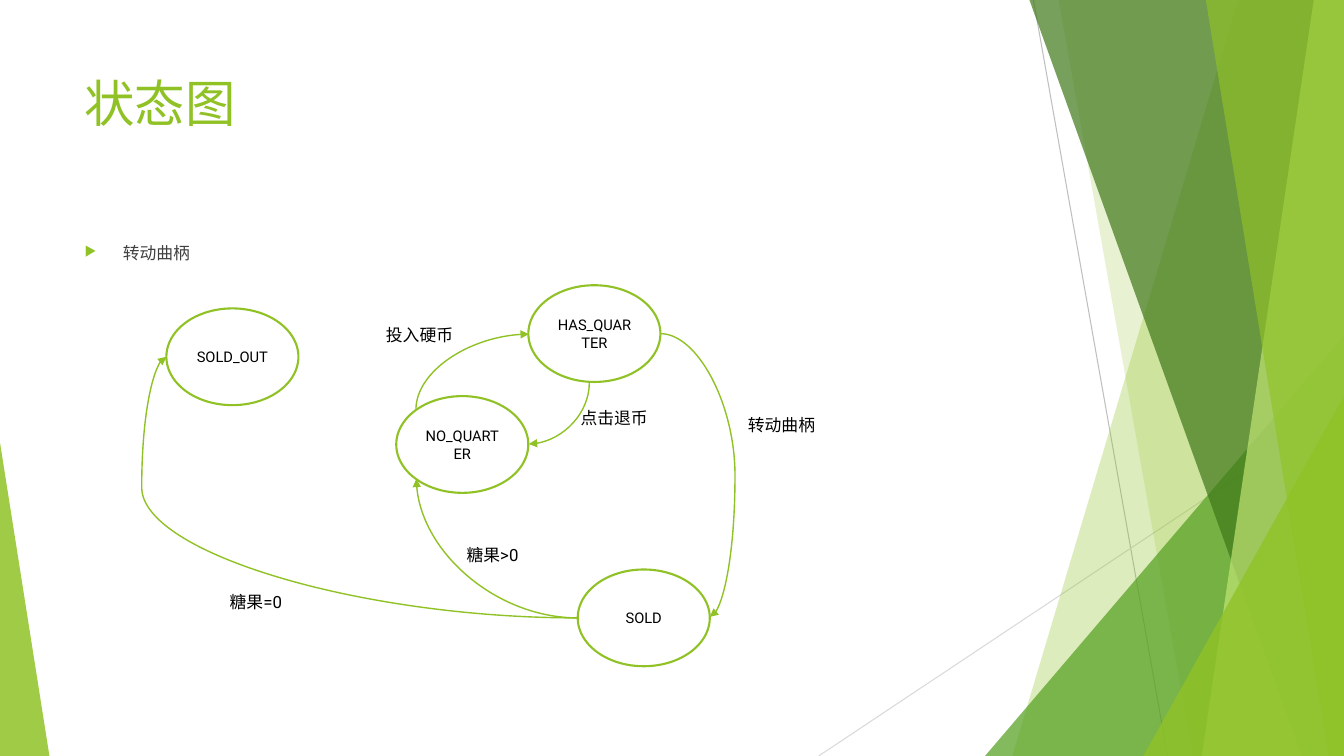
from lxml.etree import SubElement
from pptx import Presentation
from pptx.dml.color import RGBColor
from pptx.enum.shapes import MSO_CONNECTOR, MSO_SHAPE
from pptx.enum.text import MSO_ANCHOR, PP_ALIGN
from pptx.oxml.ns import qn
from pptx.util import Inches, Pt

COLORS = {
    "green": "90C226", "leaf": "54A021", "forest": "3F7819", "lime": "C0E474",
    "white": "FFFFFF", "black": "000000", "body": "404040",
    "gray": "BFBFBF", "light gray": "D9D9D9",
}
WIDTH, HEIGHT = 13.33, 7.5
STATE_WIDTH, STATE_HEIGHT = 1.31, 0.96


def set_format(target, values):
    for name, value in values.items():
        setattr(target, name, value)


class SlideBuilder:
    font_name = "Roboto"

    def __init__(self, slide):
        self.slide = slide
        self.shapes = slide.shapes

    def color(self, name):
        return RGBColor.from_string(COLORS[name])

    def fill(self, shape, color, opacity=100):
        shape.shadow.inherit = False
        shape.fill.solid()
        shape.fill.fore_color.rgb = self.color(color)
        shape.line.fill.background()
        if opacity < 100:
            color_element = shape._element.spPr.find(qn("a:solidFill")).find(qn("a:srgbClr"))
            SubElement(color_element, qn("a:alpha"), val=str(opacity * 1000))

    def stroke(self, shape, color, width):
        shape.line.color.rgb = self.color(color)
        shape.line.width = Pt(width)

    def add_text(self, shape, text, size, color, **paragraph_format):
        shape.text_frame.word_wrap = True
        paragraph = shape.text_frame.paragraphs[0]
        set_format(paragraph, paragraph_format)
        run = paragraph.add_run()
        run.text = text
        set_format(run.font, {"name": self.font_name, "size": Pt(size)})
        run.font.color.rgb = self.color(color)
        return paragraph

    def polygon(self, points, color, opacity):
        corners = [(Inches(x), Inches(y)) for x, y in points]
        builder = self.shapes.build_freeform(*corners[0])
        builder.add_line_segments(corners[1:], close=True)
        self.fill(builder.convert_to_shape(), color, opacity)

    def triangle(self, left, top, width, apex, color, opacity):
        shape = self.shapes.add_shape(
            MSO_SHAPE.ISOSCELES_TRIANGLE, Inches(left), Inches(top),
            Inches(width), Inches(HEIGHT - top))
        shape.adjustments[0] = apex
        self.fill(shape, color, opacity)

    def text(self, text, left, top, width=0.9, height=0.3, size=12,
             color="black", **paragraph_format):
        box = self.shapes.add_textbox(
            Inches(left), Inches(top), Inches(width), Inches(height))
        return self.add_text(box, text, size, color, **paragraph_format)

    def bullet(self, text, left, top, width, height):
        paragraph = self.text(text, left, top, width, height, color="body",
                              space_before=Pt(10))
        properties = paragraph._p.get_or_add_pPr()
        indent = Inches(0.38)
        properties.set("marL", str(indent))
        properties.set("indent", str(-indent))
        bullet_color = SubElement(properties, qn("a:buClr"))
        SubElement(bullet_color, qn("a:srgbClr"), val=COLORS["green"])
        SubElement(properties, qn("a:buSzPct"), val="80000")
        SubElement(properties, qn("a:buChar"), char="▶")

    def state(self, name, left, top):
        shape = self.shapes.add_shape(
            MSO_SHAPE.OVAL, Inches(left), Inches(top),
            Inches(STATE_WIDTH), Inches(STATE_HEIGHT))
        self.fill(shape, "white")
        self.stroke(shape, "green", 1.5)
        shape.text_frame.vertical_anchor = MSO_ANCHOR.MIDDLE
        self.add_text(shape, name, 10.5, "black", alignment=PP_ALIGN.CENTER)

    def line(self, begin, end, color, width, kind=MSO_CONNECTOR.STRAIGHT):
        connector = self.shapes.add_connector(
            kind, *(Inches(value) for value in (*begin, *end)))
        self.stroke(connector, color, width)
        SubElement(connector._element.spPr, qn("a:effectLst"))
        return connector

    def transition(self, left, top, width, height, rotation=0, flipped=False,
                   bend=None):
        """Curved arrow; a bend value gives it a middle turn."""
        connector = self.line((left, top), (left + width, top + height),
                              "green", 1, MSO_CONNECTOR.CURVE)
        properties = connector._element.spPr
        frame = properties.find(qn("a:xfrm"))
        frame.set("rot", str(rotation * 60000))
        if flipped:
            frame.set("flipH", "1")
            frame.set("flipV", "1")
        geometry = properties.find(qn("a:prstGeom"))
        geometry.set("prst", "curvedConnector2" if bend is None else "curvedConnector3")
        if bend is not None:
            SubElement(geometry.find(qn("a:avLst")), qn("a:gd"), name="adj1",
                       fmla=f"val {round(bend * 100000)}")
        SubElement(properties.find(qn("a:ln")), qn("a:tailEnd"), type="triangle")


def main():
    presentation = Presentation()
    presentation.slide_width = Inches(WIDTH)
    presentation.slide_height = Inches(HEIGHT)
    builder = SlideBuilder(presentation.slides.add_slide(presentation.slide_layouts[6]))

    # Background facets: each band runs from its left edge to the slide edge
    builder.line((10.25, 0), (11.58, HEIGHT), "gray", 0.75)
    builder.line((WIDTH, 4.03), (8.12, HEIGHT), "light gray", 0.75)

    def band(top_x, bottom_x, color, opacity):
        builder.polygon([(top_x, 0), (WIDTH, 0), (WIDTH, HEIGHT), (bottom_x, HEIGHT)],
                        color, opacity)

    band(12.28, 10.04, "green", 30)
    band(10.5, 11.83, "green", 20)
    builder.triangle(9.77, 3.33, 3.56, 1, "leaf", 72)
    band(10.21, 12.91, "forest", 70)
    band(13.03, 11.92, "lime", 70)
    band(11.96, 13.18, "green", 65)
    builder.triangle(11.34, 3.93, 1.99, 1, "green", 80)
    builder.triangle(0, 4.39, 0.49, 0, "green", 85)

    # Title and bullet
    builder.text("状态图", 0.74, 0.67, 9.4, 1.44, size=36, color="green")
    builder.bullet("转动曲柄", 0.74, 2.36, 9.4, 4.24)

    # States
    for name, left, top in [
        ("SOLD_OUT", 1.65, 3.06),
        ("SOLD", 5.73, 5.65),
        ("HAS_QUARTER", 5.24, 2.83),
        ("NO_QUARTER", 3.93, 3.93),
    ]:
        builder.state(name, left, top)

    # Transitions
    builder.transition(6.55, 3.31, 0.49, 2.81, bend=1.51)
    builder.transition(5.24, 3.8, 0.61, 0.6, rotation=90)
    builder.transition(4.31, 3.13, 0.75, 1.12, rotation=90, flipped=True)
    builder.transition(1.65, 3.54, 4.08, 2.59, rotation=180, bend=1.06)
    builder.transition(4.13, 4.75, 1.6, 1.38, rotation=180)

    # Transition labels
    for label, left, top in [
        ("转动曲柄", 7.32, 4.07),
        ("糖果=0", 2.18, 5.82),
        ("糖果>0", 4.53, 5.36),
        ("投入硬币", 3.73, 3.17),
        ("点击退币", 5.66, 4),
    ]:
        builder.text(label, left, top)

    presentation.save("out.pptx")


if __name__ == "__main__":
    main()
